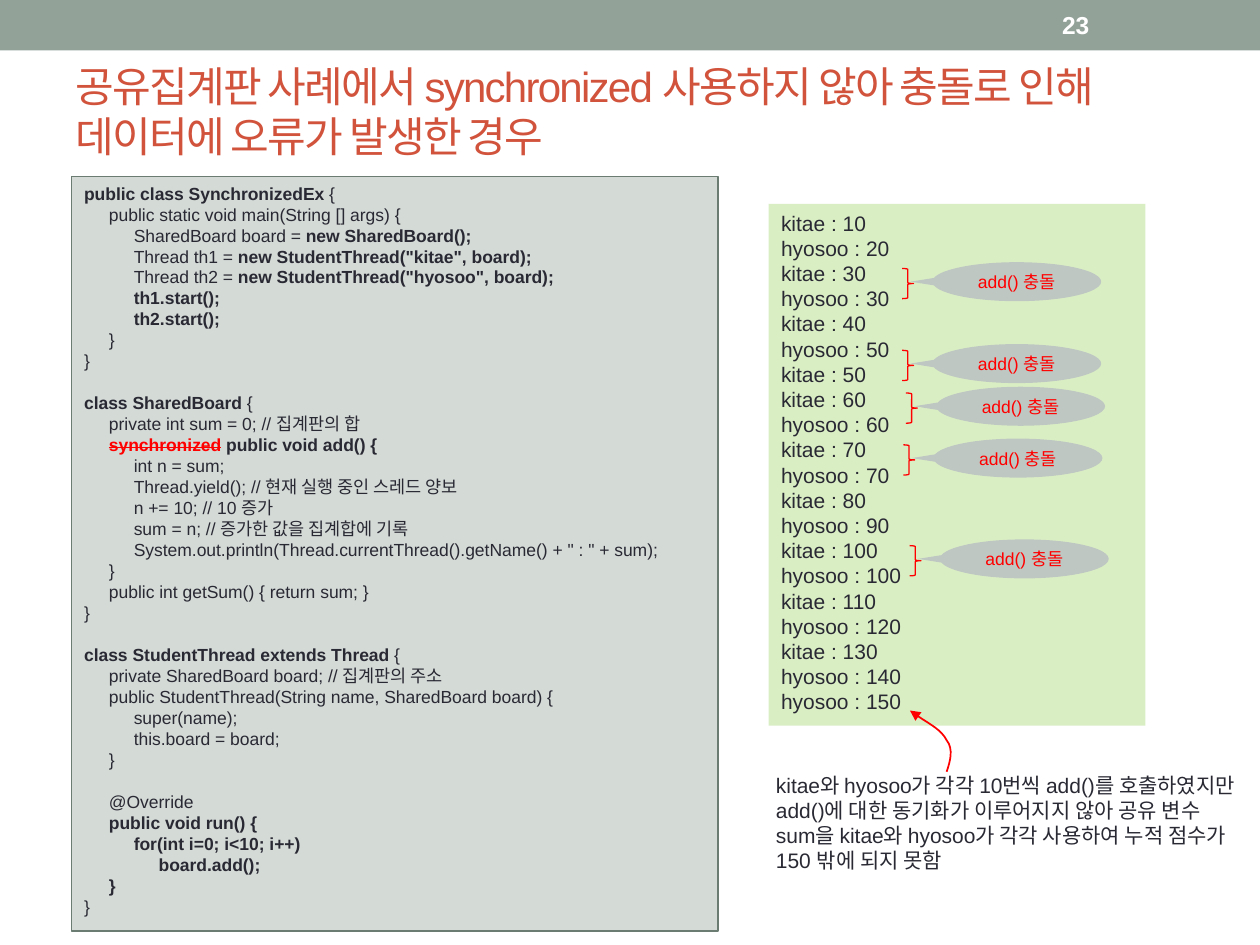
from dataclasses import dataclass

from lxml.etree import SubElement
from pptx import Presentation
from pptx.dml.color import RGBColor
from pptx.enum.shapes import MSO_SHAPE as Shape
from pptx.enum.text import MSO_ANCHOR as Anchor, PP_ALIGN as Align
from pptx.oxml.ns import qn
from pptx.util import Pt

COLORS = {
    "band": "93A299", "title": "D2533C", "text": "292934", "white": "FFFFFF",
    "red": "FF0000", "output": "DAEEC4", "callout": "BEC7C2",
    "code": "D4DAD6", "code_line": "6B7D72",
}
INDENT = 14.2
LEADING = 1.2


@dataclass(frozen=True)
class Box:
    left: float
    top: float
    width: float
    height: float

    def emu(self) -> tuple:
        return Pt(self.left), Pt(self.top), Pt(self.width), Pt(self.height)


@dataclass(frozen=True)
class Run:
    text: str
    bold: bool = False
    color: str = "text"
    strike: bool = False


@dataclass(frozen=True)
class Line:
    level: int
    plain: str = ""
    bold: str = ""
    tail: str = ""
    gap: bool = False
    struck: str = ""

    def runs(self) -> list[Run]:
        accent = "red" if self.struck else "text"
        parts = [Run(self.plain), Run(self.struck, True, accent, True),
                 Run(" " if self.struck else "", True, accent),
                 Run(self.bold, True), Run(self.tail)]
        return [part for part in parts if part.text]


@dataclass(frozen=True)
class Collision:
    left: float
    top: float


def rgb(name: str) -> RGBColor:
    return RGBColor.from_string(COLORS[name])


def style_run(r, size: float, color: str, bold: bool = False) -> None:
    r.font.name = "Arial"
    r.font.size = Pt(size)
    r.font.bold = bold
    r.font.color.rgb = rgb(color)


def write(sp, text: str, size: float, color: str, bold: bool = False,
          align=Align.LEFT, anchor=Anchor.TOP) -> None:
    tf = sp.text_frame
    tf.text = text
    tf.word_wrap = True
    tf.vertical_anchor = anchor
    for p in tf.paragraphs:
        p.alignment = align
        p.line_spacing = Pt(size * LEADING)
        for r in p.runs:
            style_run(r, size, color, bold)


def add_shape(s, kind, box: Box, fill: str = "", line: str = ""):
    sp = s.shapes.add_shape(kind, *box.emu())
    sp.shadow.inherit = False
    if fill:
        sp.fill.solid()
        sp.fill.fore_color.rgb = rgb(fill)
    else:
        sp.fill.background()
    if line:
        sp.line.color.rgb = rgb(line)
        sp.line.width = Pt(0.75)
    else:
        sp.line.fill.background()
    return sp


def add_text(s, box: Box, text: str, size: float, color: str, **options):
    sp = s.shapes.add_textbox(*box.emu())
    write(sp, text, size, color, **options)
    return sp


def add_collision(s, spot: Collision) -> None:
    sp = add_shape(s, Shape.OVAL_CALLOUT, Box(spot.left, spot.top, 96.5, 22.3), "callout")
    sp.adjustments[0] = -0.63
    sp.adjustments[1] = 0
    write(sp, "add() 충돌", 10, "red", align=Align.CENTER, anchor=Anchor.MIDDLE)
    add_shape(s, Shape.RIGHT_BRACE, Box(spot.left - 17.3, spot.top + 3.6, 6.5, 17.3), line="red")


def add_curved_arrow(s, start: tuple, points: list[tuple]) -> None:
    builder = s.shapes.build_freeform(*start, scale=Pt(1))
    builder.add_line_segments(points, close=False)
    sp = builder.convert_to_shape()
    sp.shadow.inherit = False
    sp.fill.background()
    sp.line.color.rgb = rgb("red")
    sp.line.width = Pt(1)
    SubElement(sp.line._get_or_add_ln(), qn("a:tailEnd"), type="triangle")
    outline = next(sp._element.iter(qn("a:path")))
    segments = outline.findall(qn("a:lnTo"))
    for i in range(0, len(segments), 3):
        curve = SubElement(outline, qn("a:cubicBezTo"))
        for segment in segments[i:i + 3]:
            curve.append(segment[0])
            outline.remove(segment)


def add_code(s, box: Box, lines: list[Line], size: float = 10) -> None:
    sp = add_shape(s, Shape.RECTANGLE, box, "code", "code_line")
    tf = sp.text_frame
    tf.word_wrap = True
    tf.vertical_anchor = Anchor.TOP
    for i, line in enumerate(lines):
        p = tf.add_paragraph() if i else tf.paragraphs[0]
        p.alignment = Align.LEFT
        p.line_spacing = Pt(size * LEADING)
        p.space_before = Pt(size * LEADING if line.gap else 0)
        p._p.get_or_add_pPr().set("marL", str(Pt(line.level * INDENT)))
        for part in line.runs():
            r = p.add_run()
            r.text = part.text
            style_run(r, size, part.color, part.bold)
            if part.strike:
                r.font._element.set("strike", "sngStrike")


CODE = [
    Line(0, bold="public class SynchronizedEx ", tail="{"),
    Line(1, "public static void main(String [] args) {"),
    Line(2, "SharedBoard board = ", "new SharedBoard();"),
    Line(2, "Thread th1 = ", 'new StudentThread("kitae", board);'),
    Line(2, "Thread th2 = ", 'new StudentThread("hyosoo", board);'),
    Line(2, bold="th1.start();"), Line(2, bold="th2.start();"),
    Line(1, "}"), Line(0, "}"),
    Line(0, bold="class SharedBoard", tail=" {", gap=True),
    Line(1, "private int sum = 0; // 집계판의 합"),
    Line(1, bold="public void add() {", struck="synchronized"),
    Line(2, "int n = sum;"),
    Line(2, "Thread.yield(); // 현재 실행 중인 스레드 양보"),
    Line(2, "n += 10; // 10 증가"),
    Line(2, "sum = n; // 증가한 값을 집계합에 기록"),
    Line(2, 'System.out.println(Thread.currentThread().getName() + " : " + sum);'),
    Line(1, "}"), Line(1, "public int getSum() { return sum; }"), Line(0, "}"),
    Line(0, bold="class StudentThread extends Thread ", tail="{", gap=True),
    Line(1, "private SharedBoard board; // 집계판의 주소"),
    Line(1, "public StudentThread(String name, SharedBoard board) {"),
    Line(2, "super(name);"), Line(2, "this.board = board;"), Line(1, "}"),
    Line(1, "@Override", gap=True), Line(1, bold="public void run() {"),
    Line(2, bold="for(int i=0; i<10; i++)"), Line(3, bold="board.add();"),
    Line(1, bold="}"), Line(0, "}"),
]
OUTPUT = """kitae : 10,hyosoo : 20,kitae : 30,hyosoo : 30,kitae : 40,hyosoo : 50,kitae : 50
kitae : 60,hyosoo : 60,kitae : 70,hyosoo : 70,kitae : 80,hyosoo : 90,kitae : 100
hyosoo : 100,kitae : 110,hyosoo : 120,kitae : 130,hyosoo : 140,hyosoo : 150""".replace(",", "\n")
COLLISIONS = [Collision(532.8, 149.8), Collision(532.8, 196.6), Collision(535, 221),
              Collision(533.5, 250.6), Collision(537.1, 308.2)]
TITLE = "공유집계판 사례에서 synchronized 사용하지 않아 충돌로 인해 데이터에 오류가 발생한 경우"
CAPTION = ("kitae와 hyosoo가 각각 10번씩 add()를 호출하였지만 add()에 대한 동기화가 이루어지지 않아 "
           "공유 변수 sum을 kitae와 hyosoo가 각각 사용하여 누적 점수가 150 밖에 되지 못함")


def main() -> None:
    prs = Presentation()
    prs.slide_width, prs.slide_height = Pt(720), Pt(540)
    s = prs.slides.add_slide(prs.slide_layouts[6])
    add_shape(s, Shape.RECTANGLE, Box(0, 0, 720, 28.8), "band")
    title = add_text(s, Box(36, 24.5, 648, 77.8), TITLE, 24, "title", anchor=Anchor.MIDDLE)
    title.text_frame.paragraphs[0].runs[0].font._element.set("spc", "-100")
    add_text(s, Box(436.3, 437.8, 280.8, 65.5), CAPTION, 12, "text")
    output = add_shape(s, Shape.RECTANGLE, Box(439.2, 116.6, 215.3, 298.1), "output")
    write(output, OUTPUT, 12, "text")
    for spot in COLLISIONS:
        add_collision(s, spot)
    add_text(s, Box(599.8, 1.4, 84.2, 25.9), "23", 14, "white", bold=True, anchor=Anchor.MIDDLE)
    add_curved_arrow(s, (541.4, 440.6), [(542.9, 434.9), (545, 428.4), (541.4, 422.6),
                                         (537.8, 416.9), (528.5, 411.8), (519.8, 406.1)])
    add_code(s, Box(41, 100.8, 369.4, 431.3), CODE)
    prs.save("out.pptx")


if __name__ == "__main__":
    main()
